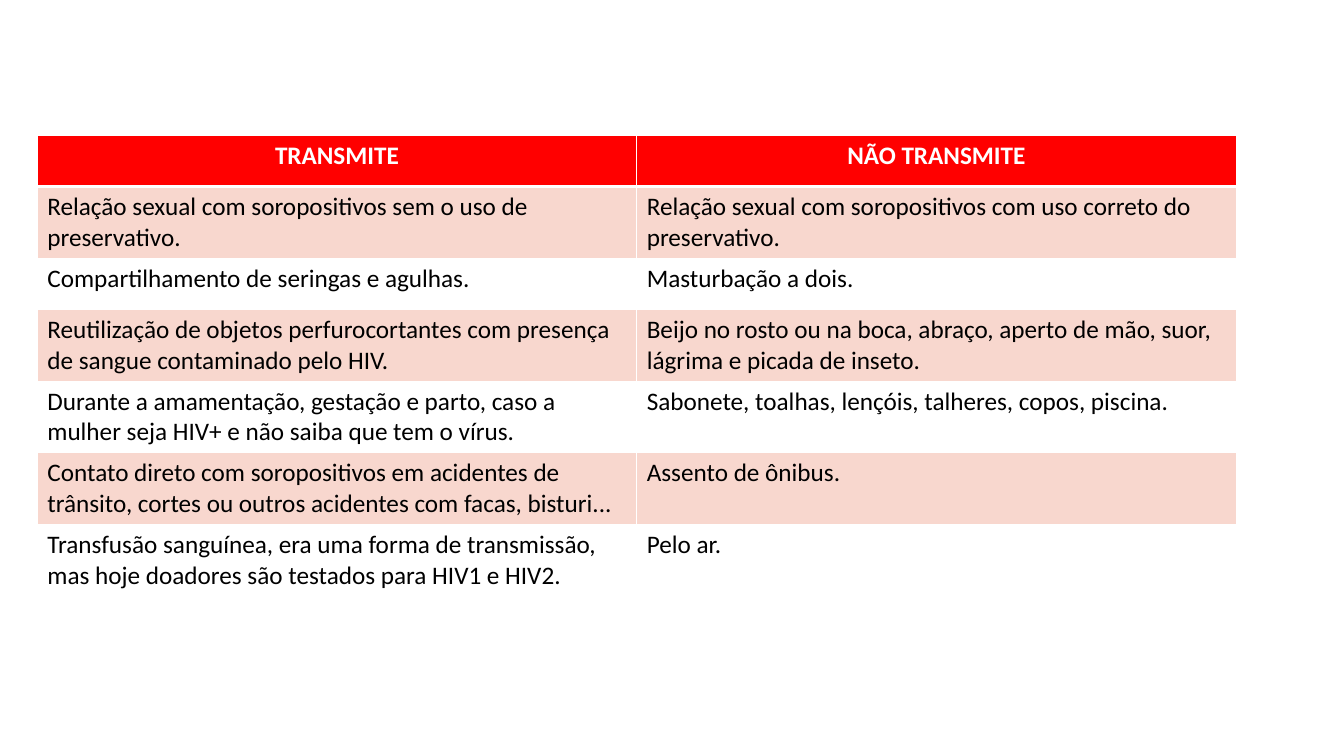
import pptx
import pptx.dml.color
import pptx.enum.text
import pptx.oxml.ns
import pptx.util
from lxml import etree

Inches = pptx.util.Inches
RGBColor = pptx.dml.color.RGBColor
Align = pptx.enum.text.PP_ALIGN

RED = RGBColor(0xFF, 0x00, 0x00)
PINK = RGBColor(0xF8, 0xD7, 0xCE)
WHITE = RGBColor(0xFF, 0xFF, 0xFF)
BLACK = RGBColor(0x00, 0x00, 0x00)

ROWS = [
    ("TRANSMITE", "NÃO TRANSMITE"),
    ("Relação sexual com soropositivos sem o uso de preservativo.",
     "Relação sexual com soropositivos com uso correto do preservativo."),
    ("Compartilhamento de seringas e agulhas.", "Masturbação a dois."),
    ("Reutilização de objetos perfurocortantes com presença de sangue contaminado pelo HIV.",
     "Beijo no rosto ou na boca, abraço, aperto de mão, suor, lágrima e picada de inseto."),
    ("Durante a amamentação, gestação e parto, caso a mulher seja HIV+ e não saiba que tem o vírus.",
     "Sabonete, toalhas, lençóis, talheres, copos, piscina."),
    ("Contato direto com soropositivos em acidentes de trânsito, cortes ou outros acidentes com facas, bisturi...",
     "Assento de ônibus."),
    ("Transfusão sanguínea, era uma forma de transmissão, mas hoje doadores são testados para HIV1 e HIV2.",
     "Pelo ar."),
]


def write(frame, text, size=18, color=BLACK, bold=False, align=Align.LEFT):
    """Put formatted text in a text frame."""
    par = frame.paragraphs[0]
    par.alignment = align
    run = par.add_run()
    run.text = text
    font = run.font
    font.name = "Calibri"
    font.size = pptx.util.Pt(size)
    font.bold = bold
    font.color.rgb = color


def border(cell, top=1, bottom=1):
    """Give a cell white borders, with widths in points."""
    qn = pptx.oxml.ns.qn
    props = cell._tc.get_or_add_tcPr()
    for side, width in (("L", 1), ("R", 1), ("T", top), ("B", bottom)):
        line = etree.SubElement(props, qn("a:ln" + side), w=str(pptx.util.Pt(width)))
        fill = etree.SubElement(line, qn("a:solidFill"))
        etree.SubElement(fill, qn("a:srgbClr"), val=str(WHITE))


def paint(cell, row):
    """Fill the header red and every odd body row pink."""
    if row % 2 == 0 and row > 0:
        cell.fill.background()
    else:
        cell.fill.solid()
        cell.fill.fore_color.rgb = PINK if row else RED


def add_grid(slide, left, top, width, height):
    """Place the comparison table in the given box."""
    grid = slide.shapes.add_table(
        len(ROWS), len(ROWS[0]), left, top, width, height).table
    for row, texts in enumerate(ROWS):
        for col, text in enumerate(texts):
            cell = grid.cell(row, col)
            border(cell, top=3 if row == 1 else 1, bottom=1 if row else 3)
            paint(cell, row)
            if row:
                write(cell.text_frame, text)
            else:
                write(cell.text_frame, text, color=WHITE, bold=True, align=Align.CENTER)


def main():
    """Build and save the slide."""
    deck = pptx.Presentation()
    deck.slide_width = Inches(13.33)
    deck.slide_height = Inches(7.5)
    slide = deck.slides.add_slide(deck.slide_layouts[6])
    add_grid(slide, Inches(0.37), Inches(1.34), Inches(11.89), Inches(0.51 * len(ROWS)))
    deck.save("out.pptx")


if __name__ == "__main__":
    main()
